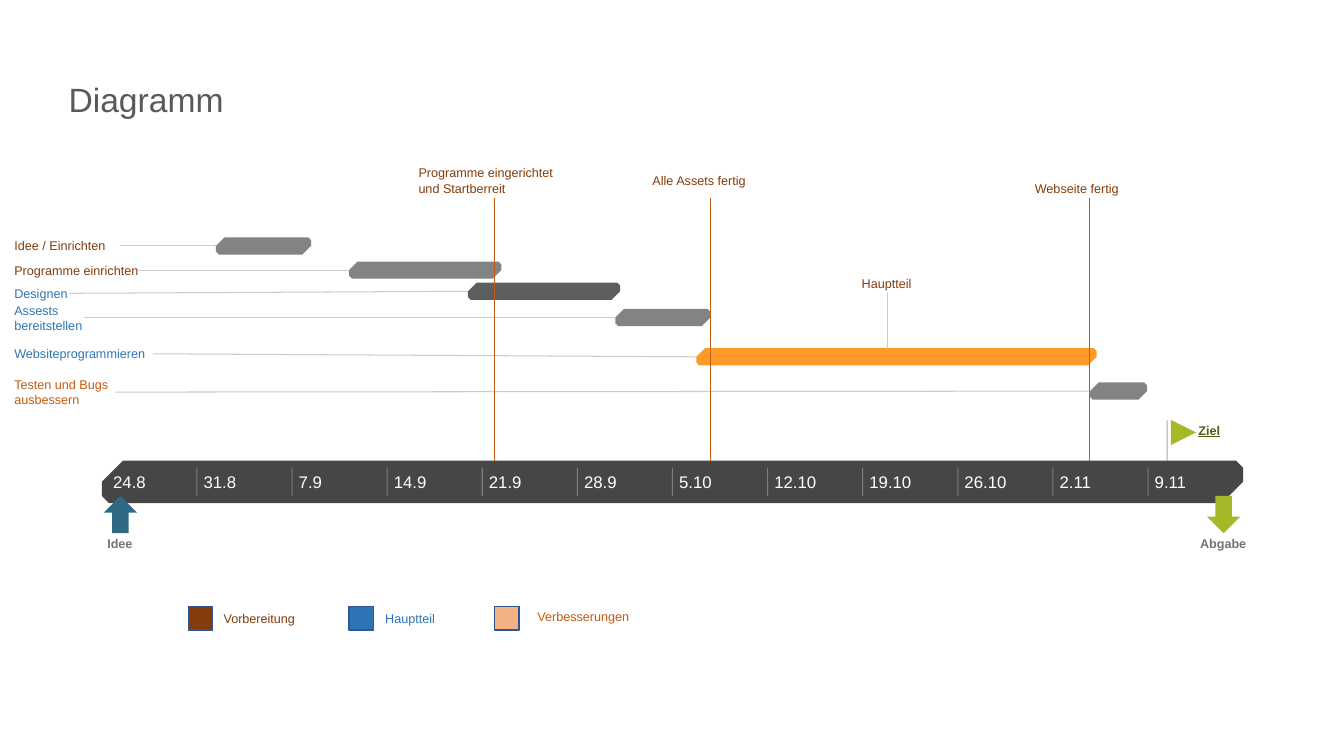
import lxml.etree
import pptx
import pptx.util
import pptx.dml.color
import pptx.enum.shapes
import pptx.enum.text
import pptx.oxml.ns
from dataclasses import dataclass

SHAPE = pptx.enum.shapes.MSO_SHAPE
ALIGN = pptx.enum.text.PP_ALIGN


@dataclass(frozen=True)
class Theme:
    font: str = "Arial"
    title_size: float = 24
    date_size: float = 12
    label_size: float = 9
    hairline: float = 0.75
    white: str = "FFFFFF"
    title: str = "595959"
    band: str = "464646"
    task: str = "838383"
    dark_task: str = "5E5E5E"
    main_task: str = "FF9927"
    leader: str = "CCCCCC"
    preparation: str = "843C0B"
    main_part: str = "2E75B6"
    improvement: str = "C55A11"
    light_improvement: str = "F4B183"
    legend_edge: str = "325491"
    start: str = "316886"
    goal: str = "A6B727"
    goal_text: str = "535C13"
    caption: str = "737373"


THEME = Theme()

# Grid: columns are weeks of the timeline, rows are tenths of an inch
ORIGIN, WEEK, ROW = 1.01, 0.9433, 0.1
WEEKS = 12
LABEL_WEEK = -0.92
BAND_TOP, BAND_ROWS = 45.7, 4.2
BAND_MIDDLE = BAND_TOP + BAND_ROWS / 2

DATES = [" 24.8", "31.8", "7.9", "14.9", "21.9", "28.9",
         "5.10", "12.10", "19.10", "26.10", "2.11", "9.11"]

# Label, label weeks, label colour, label row, leader start week,
# bar start week, bar weeks, bar row, bar colour
TASKS = [
    ("Idee / Einrichten", 1.12, THEME.preparation, 24.4, 0.19, 1.2, 1, 24.4, THEME.task),
    ("Programme einrichten", 1.33, THEME.preparation, 26.8, 0.39, 2.6, 1.6, 26.8, THEME.task),
    ("Designen", 1.33, THEME.main_part, 29.1, -0.34, 3.85, 1.6, 28.9, THEME.dark_task),
    ("Assests bereitstellen", 0.75, THEME.main_part, 31.5, -0.19, 5.4, 1, 31.5, THEME.task),
    ("Websiteprogrammieren", 1.46, THEME.main_part, 35.1, 0.54, 6.25, 4.21, 35.4, THEME.main_task),
    ("Testen und Bugs ausbessern", 1.07, THEME.improvement, 38.9, 0.14, 10.39, 0.6, 38.8, THEME.task),
]

# Label, line week, label week, label row
MILESTONES = [
    ("Programme eingerichtet und Startberreit", 4.13, 3.33, 17.9),
    ("Alle Assets fertig", 6.4, 5.79, 17.9),
    ("Webseite fertig", 10.38, 9.81, 18.7),
]

# Label, box week, box colour, label week, label row, label colour
LEGEND = [
    ("Vorbereitung", 0.91, THEME.preparation, 1.28, 61.4, THEME.preparation),
    ("Hauptteil", 2.6, THEME.main_part, 2.98, 61.4, THEME.main_part),
    ("Verbesserungen", 4.13, THEME.light_improvement, 4.58, 61.2, THEME.improvement),
]


def weeks(count):
    return pptx.util.Inches(count * WEEK)


def at_week(number):
    return pptx.util.Inches(ORIGIN + number * WEEK)


def rows(count):
    return pptx.util.Inches(count * ROW)


def color(value):
    return pptx.dml.color.RGBColor.from_string(value)


def format_text(frame, size, ink, bold=False, underline=False, align=ALIGN.LEFT):
    frame.vertical_anchor = pptx.enum.text.MSO_ANCHOR.MIDDLE
    frame.word_wrap = True
    for paragraph in frame.paragraphs:
        paragraph.alignment = align
        for run in paragraph.runs:
            run.font.name = THEME.font
            run.font.size = pptx.util.Pt(size)
            run.font.bold = bold
            run.font.underline = underline
            run.font.color.rgb = color(ink)


def add_label(slide, text, week, middle, width, ink, size=THEME.label_size, **style):
    height = 3
    box = slide.shapes.add_textbox(at_week(week), rows(middle - height / 2),
                                   weeks(width), rows(height))
    frame = box.text_frame
    frame.margin_left = frame.margin_right = frame.margin_top = frame.margin_bottom = 0
    frame.text = text
    format_text(frame, size, ink, **style)


def add_line(slide, start, end, ink, opacity=None):
    line = slide.shapes.add_connector(
        pptx.enum.shapes.MSO_CONNECTOR.STRAIGHT,
        at_week(start[0]), rows(start[1]), at_week(end[0]), rows(end[1]))
    line.line.width = pptx.util.Pt(THEME.hairline)
    line.line.color.rgb = color(ink)
    properties = line._element.spPr
    if opacity:
        tint = properties.find(".//" + pptx.oxml.ns.qn("a:srgbClr"))
        alpha = lxml.etree.SubElement(tint, pptx.oxml.ns.qn("a:alpha"))
        alpha.set("val", str(opacity * 1000))
    lxml.etree.SubElement(properties, pptx.oxml.ns.qn("a:effectLst"))


def add_block(slide, kind, week, middle, width, height, fill, edge=None):
    block = slide.shapes.add_shape(kind, at_week(week), rows(middle - height / 2),
                                   weeks(width), rows(height))
    block.shadow.inherit = False
    block.fill.solid()
    block.fill.fore_color.rgb = color(fill)
    if edge:
        block.line.color.rgb = color(edge)
        block.line.width = pptx.util.Pt(1)
    else:
        block.line.fill.background()
    return block


def add_bar(slide, week, middle, width, height, fill):
    bar = add_block(slide, SHAPE.SNIP_2_DIAG_RECTANGLE, week, middle, width, height, fill)
    bar.adjustments[0], bar.adjustments[1] = 0.5, 0.167


def add_title(slide, text):
    title = slide.shapes.title
    title.left, title.top = pptx.util.Inches(0.58), rows(7.3)
    title.width, title.height = pptx.util.Inches(6.51), rows(5)
    title.text_frame.text = text
    format_text(title.text_frame, THEME.title_size, THEME.title)


def add_timeline(slide):
    add_bar(slide, 0, BAND_MIDDLE, WEEKS, BAND_ROWS, THEME.band)
    for number, date in enumerate(DATES):
        add_label(slide, date, number + 0.07, BAND_MIDDLE, 0.8, THEME.white, THEME.date_size)
        if number:
            add_line(slide, (number, BAND_MIDDLE - 1.4), (number, BAND_MIDDLE + 1.4),
                     THEME.white, opacity=30)


def add_tasks(slide):
    for _, _, _, label_row, leader, start, _, bar_row, _ in TASKS:
        add_line(slide, (leader, label_row), (start, bar_row), THEME.leader)
    for text, width, ink, label_row, _, start, length, bar_row, fill in TASKS:
        add_bar(slide, start, bar_row, length, 1.7, fill)
        add_label(slide, text, LABEL_WEEK, label_row, width, ink)


def add_goal_and_ends(slide):
    add_line(slide, (11.2, 41.7), (11.2, BAND_TOP), THEME.goal_text, opacity=50)
    flag = add_block(slide, SHAPE.FLOWCHART_MERGE, 11.24, 42.9, 0.265, 2.5, THEME.goal)
    flag.rotation = 270
    add_label(slide, "Ziel", 11.53, 42.7, 0.71, THEME.goal_text, bold=True, underline=True)
    ends = [("Idee", SHAPE.UP_ARROW, 0.02, THEME.start),
            ("Abgabe", SHAPE.DOWN_ARROW, 11.62, THEME.goal)]
    for text, kind, week, fill in ends:
        add_block(slide, kind, week, 51.05, 0.35, 3.7, fill)
        add_label(slide, text, week - 0.36, 53.9, 1.06, THEME.caption,
                  bold=True, align=ALIGN.CENTER)


def add_milestones(slide):
    add_line(slide, (8.26, 34.6), (8.26, 29), THEME.leader)
    add_label(slide, "Hauptteil", 7.99, 28.1, 1.33, THEME.preparation)
    for text, week, label_week, label_row in MILESTONES:
        add_line(slide, (week, 19.6), (week, BAND_TOP), THEME.improvement)
        add_label(slide, text, label_week, label_row, 1.47, THEME.preparation)


def add_legend(slide):
    for text, week, fill, label_week, label_row, ink in LEGEND:
        add_block(slide, SHAPE.RECTANGLE, week, 61.35, 0.255, 2.3, fill, THEME.legend_edge)
        add_label(slide, text, label_week, label_row, 1.3, ink)


def main():
    deck = pptx.Presentation()
    deck.slide_width, deck.slide_height = pptx.util.Inches(13.33), pptx.util.Inches(7.5)
    slide = deck.slides.add_slide(deck.slide_layouts[5])
    add_title(slide, "Diagramm")
    add_timeline(slide)
    add_tasks(slide)
    add_goal_and_ends(slide)
    add_milestones(slide)
    add_legend(slide)
    deck.save("out.pptx")


main()
